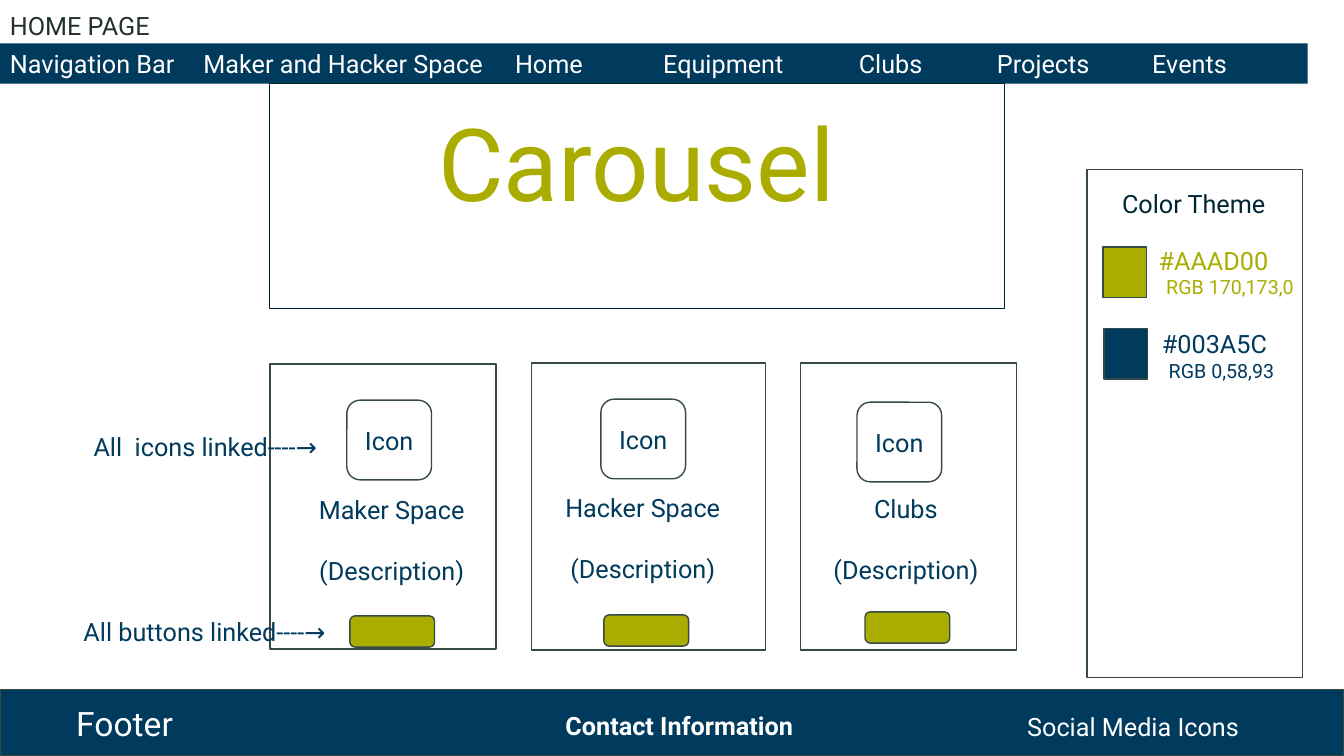
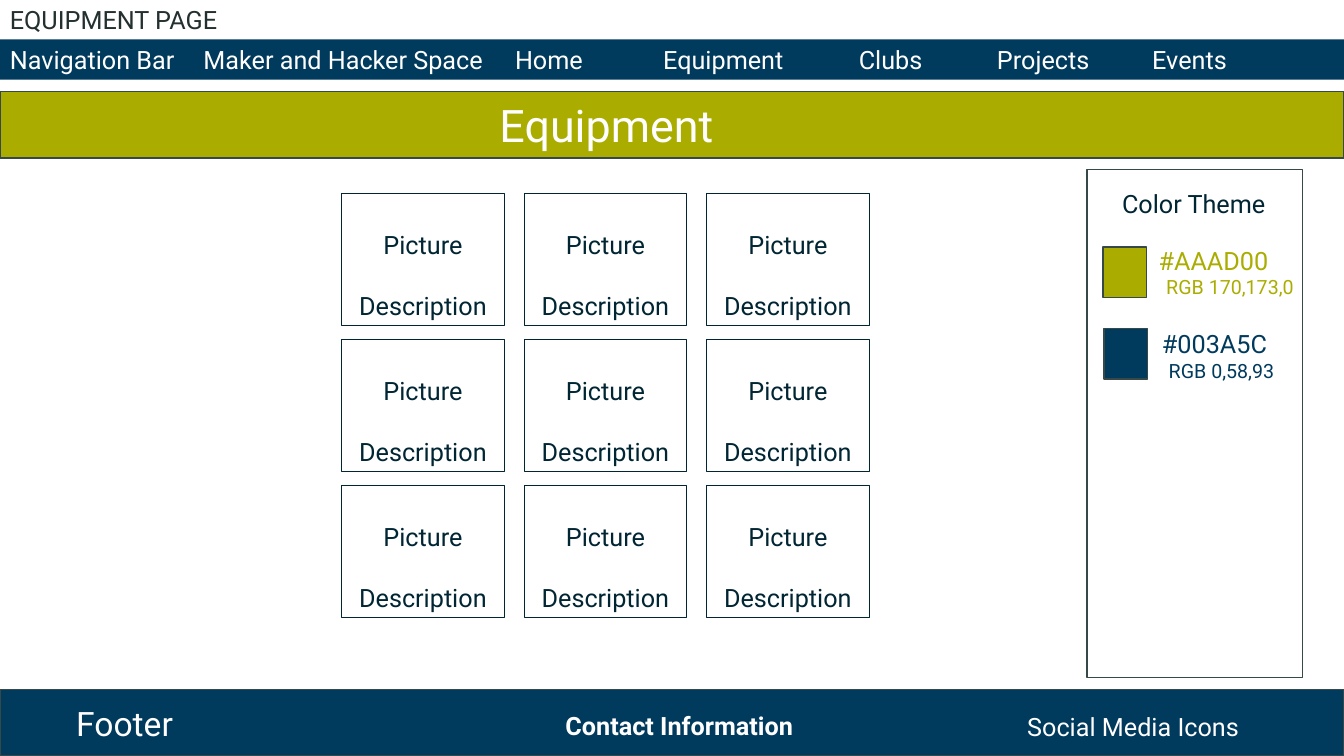
import dataclasses

import pptx
import pptx.dml.color
import pptx.enum.shapes
import pptx.enum.text
import pptx.oxml
import pptx.oxml.ns
import pptx.util

Inches = pptx.util.Inches
Pt = pptx.util.Pt
Kind = pptx.enum.shapes.MSO_SHAPE
Align = pptx.enum.text.PP_ALIGN
Anchor = pptx.enum.text.MSO_ANCHOR


@dataclasses.dataclass(frozen=True)
class Theme:
    font: str = "Roboto"
    olive: str = "AAAD00"
    navy: str = "003A5D"
    ink: str = "002533"
    heading: str = "243030"
    outline: str = "364848"
    white: str = "FFFFFF"
    small: int = 14
    body: int = 18
    footer: int = 24
    banner: int = 32
    hero: int = 72
    thin: float = 0.75
    line: float = 1
    line_gap: int = 22


THEME = Theme()

# Content shared by both pages
NAVIGATION = ["Navigation Bar", "Maker and Hacker Space", "Home", "Equipment",
              "Clubs", "Projects", "Events"]
NAVIGATION_STOPS = [1.92, 5.01, 6.48, 8.42, 9.79, 11.33]
FOOTER = [  # text, box, size, bold, alignment
    ("Footer", (-0.21, 6.92, 2.89, 0.5), THEME.footer, False, Align.CENTER),
    ("Contact Information", (5.51, 7, 3.46, 0.4), THEME.body, True, Align.LEFT),
    ("Social Media Icons", (10.09, 7.01, 2.6, 0.4), THEME.body, False, Align.LEFT),
]
SWATCHES = [  # hex, rgb, colour, swatch left and top, label left and top, rgb indent
    ("#AAAD00", "RGB 170,173,0", THEME.olive, (10.94, 2.45), (11.08, 2.38), 0.33),
    ("#003A5C", "RGB 0,58,93", THEME.navy, (10.95, 3.26), (11.09, 3.21), 0.14),
]

# Home page content
CARDS = [  # title, card box, icon, title and button positions
    dict(title="Maker Space", card=(2.68, 3.61, 2.24, 2.83), icon=(3.44, 3.97),
         caption=(2.65, 4.85), button=(3.47, 6.11)),
    dict(title="Hacker Space", card=(5.27, 3.6, 2.32, 2.85), icon=(5.96, 3.96),
         caption=(5.14, 4.83), button=(5.99, 6.1)),
    dict(title="Clubs", card=(7.94, 3.6, 2.14, 2.85), icon=(8.5, 3.99),
         caption=(7.75, 4.84), button=(8.58, 6.07)),
]
CALLOUTS = [
    ("All  icons linked----→", (0.83, 4.23, 3.8, 0.4)),
    ("All buttons linked----→", (0.73, 6.07, 3.8, 0.4)),
]

# Equipment page content
TILE_LINES = ["Picture", "Description"]
TILE_GRID = dict(left=3.39, top=1.92, width=1.61, height=1.31,
                 step_x=1.81, step_y=1.45, rows=3, columns=3)


# Drawing helpers
def rgb(value):
    return pptx.dml.color.RGBColor.from_string(value)


def apply(target, values):
    for name, value in values.items():
        setattr(target, name, value)


def write(shape, lines, color, size=THEME.body, bold=False,
          align=Align.LEFT, frame=None, later=None):
    """Fill a shape with paragraphs; `later` formats those after the first."""
    apply(shape.text_frame, dict(word_wrap=True, vertical_anchor=Anchor.TOP) | (frame or {}))
    for index, line in enumerate(lines):
        text = shape.text_frame
        paragraph = text.paragraphs[0] if index == 0 else text.add_paragraph()
        apply(paragraph, dict(alignment=align) | ((later or {}) if index else {}))
        run = paragraph.add_run()
        run.text = line
        apply(run.font, dict(name=THEME.font, size=Pt(size), bold=bold))
        run.font.color.rgb = rgb(color)


def label(slide, box, lines, color, **style):
    caption = slide.shapes.add_textbox(*map(Inches, box))
    write(caption, lines, color, **style)
    return caption


def block(slide, box, fill=None, line=THEME.outline, weight=THEME.line, kind=Kind.RECTANGLE):
    panel = slide.shapes.add_shape(kind, *map(Inches, box))
    panel.shadow.inherit = False
    if fill:
        panel.fill.solid()
        panel.fill.fore_color.rgb = rgb(fill)
    else:
        panel.fill.background()
    if line:
        panel.line.color.rgb = rgb(line)
        panel.line.width = Pt(weight)
    else:
        panel.line.fill.background()
    return panel


# Parts shared by both pages
def add_navigation(slide, top, width):
    bar = block(slide, (0, top, width, 0.4), THEME.navy, line=None)
    write(bar, ["\t".join(NAVIGATION)], THEME.white)
    properties = bar.text_frame.paragraphs[0]._p.get_or_add_pPr()
    stops = pptx.oxml.parse_xml(f"<a:tabLst {pptx.oxml.ns.nsdecls('a')}/>")
    for stop in NAVIGATION_STOPS:
        stops.append(pptx.oxml.parse_xml(
            f'<a:tab {pptx.oxml.ns.nsdecls("a")} pos="{Inches(stop)}" algn="l"/>'))
    properties.append(stops)


def add_footer(slide):
    block(slide, (0, 6.84, 13.33, 0.66), THEME.navy)
    for text, box, size, bold, align in FOOTER:
        label(slide, box, [text], THEME.white, size=size, bold=bold, align=align)


def add_color_theme(slide):
    block(slide, (10.78, 1.68, 2.14, 5.04), THEME.white)
    label(slide, (11.03, 1.82, 1.89, 0.4), ["Color Theme"], THEME.ink)
    for code, values, color, swatch, place, indent in SWATCHES:
        block(slide, (*swatch, 0.43, 0.5), color)
        legend = label(slide, (*place, 1.91, 0.64), [code, values], color, align=Align.CENTER)
        detail = legend.text_frame.paragraphs[1]
        detail.runs[0].font.size = Pt(THEME.small)
        detail._p.get_or_add_pPr().set("marL", str(Inches(indent)))


def add_page(deck, title, title_top, bar_top, bar_width):
    slide = deck.slides.add_slide(deck.slide_layouts[6])
    label(slide, (0, title_top, 2.86, 0.4), [title], THEME.heading)
    add_navigation(slide, bar_top, bar_width)
    add_color_theme(slide)
    add_footer(slide)
    return slide


# Pages
def add_home(deck):
    slide = add_page(deck, "HOME PAGE", 0.05, 0.43, 12.97)
    carousel = block(slide, (2.67, 0.83, 7.29, 2.23), line=THEME.ink, weight=THEME.thin)
    write(carousel, ["Carousel"], THEME.olive, size=THEME.hero, align=Align.CENTER)
    apply(carousel.text_frame.paragraphs[0], dict(line_spacing=1.1, space_before=Pt(7)))

    for card in CARDS:
        block(slide, card["card"], THEME.white)
        icon = block(slide, (*card["icon"], 0.84, 0.79), THEME.white, kind=Kind.ROUNDED_RECTANGLE)
        write(icon, ["Icon"], THEME.navy, align=Align.CENTER,
              frame=dict(vertical_anchor=Anchor.MIDDLE, margin_left=0, margin_right=0))
        label(slide, (*card["caption"], 2.47, 1.01), [card["title"], "(Description)"],
              THEME.navy, align=Align.CENTER, later=dict(space_before=Pt(THEME.line_gap)))
        block(slide, (*card["button"], 0.84, 0.31), THEME.olive, kind=Kind.ROUNDED_RECTANGLE)

    for text, box in CALLOUTS:
        label(slide, box, [text], THEME.navy)


def add_equipment(deck):
    slide = add_page(deck, "EQUIPMENT PAGE", -0.01, 0.39, 13.33)
    block(slide, (0, 0.91, 13.33, 0.66), THEME.olive)
    label(slide, (4.57, 0.92, 2.89, 0.64), ["Equipment"], THEME.white,
          size=THEME.banner, align=Align.CENTER)

    grid = TILE_GRID
    for row in range(grid["rows"]):
        for column in range(grid["columns"]):
            box = (grid["left"] + column * grid["step_x"], grid["top"] + row * grid["step_y"],
                   grid["width"], grid["height"])
            tile = block(slide, box, line=THEME.ink, weight=THEME.thin)
            write(tile, TILE_LINES, THEME.ink, align=Align.CENTER,
                  frame=dict(margin_top=Inches(0.35)),
                  later=dict(space_before=Pt(THEME.line_gap)))


def main():
    deck = pptx.Presentation()
    apply(deck, dict(slide_width=Inches(13.33), slide_height=Inches(7.5)))
    add_home(deck)
    add_equipment(deck)
    deck.save("out.pptx")


if __name__ == "__main__":
    main()
